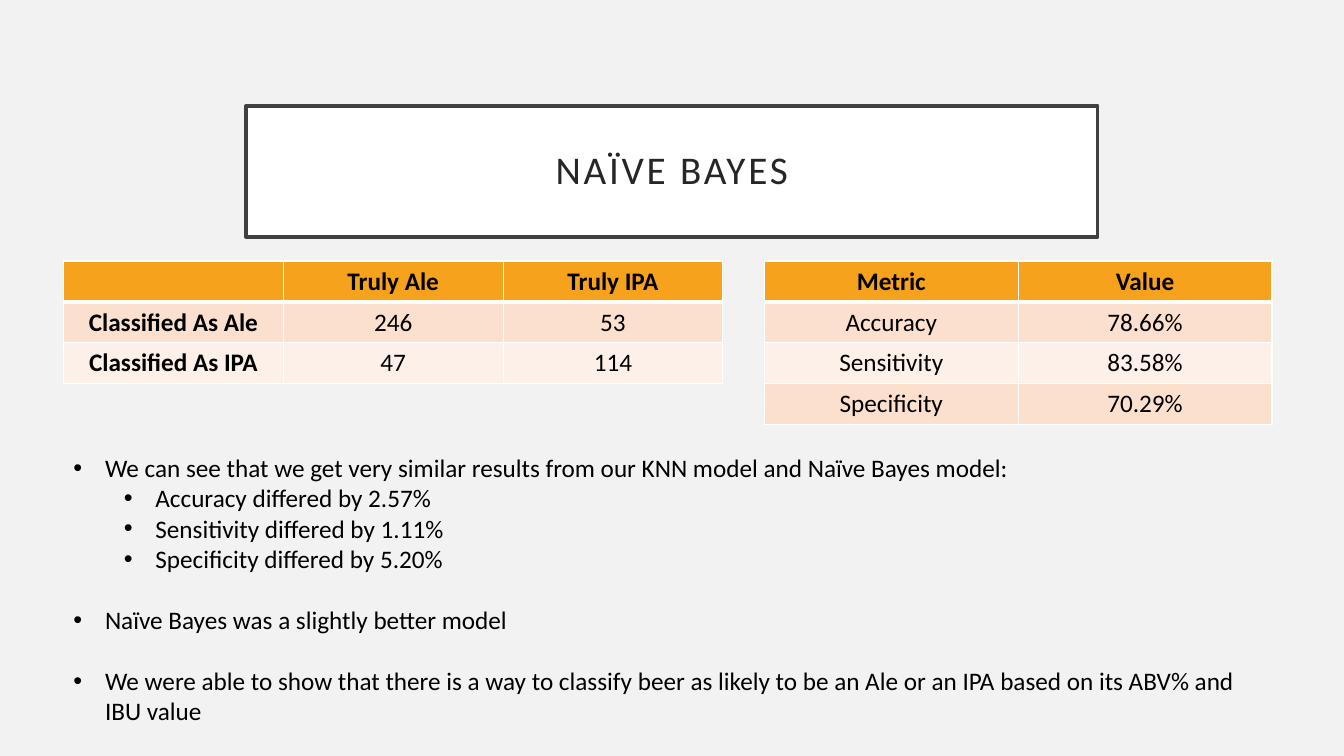
"""Build the Naïve Bayes results slide."""
from dataclasses import dataclass

from lxml.etree import SubElement
from pptx import Presentation
from pptx.dml.color import RGBColor
from pptx.enum.shapes import MSO_SHAPE as Shape
from pptx.enum.text import MSO_ANCHOR as Anchor, PP_ALIGN as Align
from pptx.oxml.ns import qn
from pptx.slide import Slide
from pptx.util import Pt

FONT = "Calibri"
PAPER = RGBColor(0xF2, 0xF2, 0xF2)
WHITE = RGBColor(0xFF, 0xFF, 0xFF)
FRAME = RGBColor(0x40, 0x40, 0x40)
INK = RGBColor(0x26, 0x26, 0x26)
BLACK = RGBColor(0, 0, 0)
AMBER = RGBColor(0xF6, 0xA2, 0x1D)
PEACH = RGBColor(0xFB, 0xE0, 0xCD)
CREAM = RGBColor(0xFD, 0xF0, 0xE8)

LEFT = 45.4
GRID_TOP = 186.5
ROW = 29.2
LINE = 22


@dataclass
class Grid:
    left: float
    width: float
    rows: list[list[str]]
    bold_side: bool = False


@dataclass
class Point:
    text: str
    indent: float = 22.5
    before: float = 0


GRIDS = [
    Grid(LEFT, 157, [
        ["", "Truly Ale", "Truly IPA"],
        ["Classified As Ale", "246", "53"],
        ["Classified As IPA", "47", "114"],
    ], bold_side=True),
    Grid(546, 181.3, [
        ["Metric", "Value"],
        ["Accuracy", "78.66%"],
        ["Sensitivity", "83.58%"],
        ["Specificity", "70.29%"],
    ]),
]

POINTS = [
    Point("We can see that we get very similar results from our KNN model and Naïve Bayes model:"),
    Point("Accuracy differed by 2.57%", 58.5),
    Point("Sensitivity differed by 1.11%", 58.5),
    Point("Specificity differed by 5.20%", 58.5),
    Point("Naïve Bayes was a slightly better model", before=LINE),
    Point("We were able to show that there is a way to classify beer as likely to be "
          "an Ale or an IPA based on its ABV% and IBU value", before=LINE),
]


def style(para, size: float, color: RGBColor, bold: bool = False) -> None:
    font = para.font
    font.name, font.size, font.bold = FONT, Pt(size), bold
    font.color.rgb = color


def draw_title(slide: Slide, text: str) -> None:
    box = slide.shapes.add_shape(Shape.RECTANGLE, Pt(175.7), Pt(75.6), Pt(608.4), Pt(93.6))
    box.shadow.inherit = False
    box.fill.solid()
    box.fill.fore_color.rgb = WHITE
    box.line.color.rgb = FRAME
    box.line.width = Pt(2.5)
    frame = box.text_frame
    frame.vertical_anchor = Anchor.MIDDLE
    frame.margin_left = frame.margin_right = Pt(14.4)
    frame.margin_top = frame.margin_bottom = Pt(14.4)
    para = frame.paragraphs[0]
    para.alignment = Align.CENTER
    para.line_spacing = 0.9
    run = para.add_run()
    run.text = text
    run._r.get_or_add_rPr().set("spc", "200")
    style(para, 28, INK)


def add_edge(cell, side: str, width: float) -> None:
    edge = SubElement(cell._tc.get_or_add_tcPr(), qn(f"a:ln{side}"), w=str(Pt(width)))
    fill = SubElement(edge, qn("a:solidFill"))
    SubElement(fill, qn("a:srgbClr"), val=str(WHITE))


def draw_grid(slide: Slide, grid: Grid) -> None:
    rows, cols = len(grid.rows), len(grid.rows[0])
    table = slide.shapes.add_table(rows, cols, Pt(grid.left), Pt(GRID_TOP),
                                   Pt(grid.width * cols), Pt(ROW * rows)).table
    table.first_row = table.horz_banding = False
    for col in table.columns:
        col.width = Pt(grid.width)
    for i, texts in enumerate(grid.rows):
        table.rows[i].height = Pt(ROW)
        for j, text in enumerate(texts):
            cell = table.cell(i, j)
            for side in "LRTB":
                thick = (i, side) in ((0, "B"), (1, "T"))
                add_edge(cell, side, 3 if thick else 1)
            cell.fill.solid()
            cell.fill.fore_color.rgb = AMBER if i == 0 else (CREAM, PEACH)[i % 2]
            para = cell.text_frame.paragraphs[0]
            para.text = text
            para.alignment = Align.CENTER
            style(para, 18, BLACK, i == 0 or (grid.bold_side and j == 0))


def draw_points(slide: Slide, points: list[Point]) -> None:
    box = slide.shapes.add_textbox(Pt(LEFT), Pt(319.7), Pt(862.6), Pt(203.8))
    frame = box.text_frame
    frame.word_wrap = True
    for i, point in enumerate(points):
        para = frame.add_paragraph() if i else frame.paragraphs[0]
        para.text = point.text
        para.level = int(point.indent > 22.5)
        props = para._p.get_or_add_pPr()
        props.set("marL", str(Pt(point.indent)))
        props.set("indent", str(Pt(-22.5)))
        SubElement(props, qn("a:buFont"), typeface="Arial")
        SubElement(props, qn("a:buChar"), char="•")
        if point.before:
            para.space_before = Pt(point.before)
        style(para, 18, BLACK)


def main() -> None:
    deck = Presentation()
    deck.slide_width, deck.slide_height = Pt(960), Pt(540)
    slide = deck.slides.add_slide(deck.slide_layouts[6])
    back = slide.background.fill
    back.solid()
    back.fore_color.rgb = PAPER
    draw_title(slide, "NAÏVE BAYES")
    for grid in GRIDS:
        draw_grid(slide, grid)
    draw_points(slide, POINTS)
    deck.save("out.pptx")


if __name__ == "__main__":
    main()
